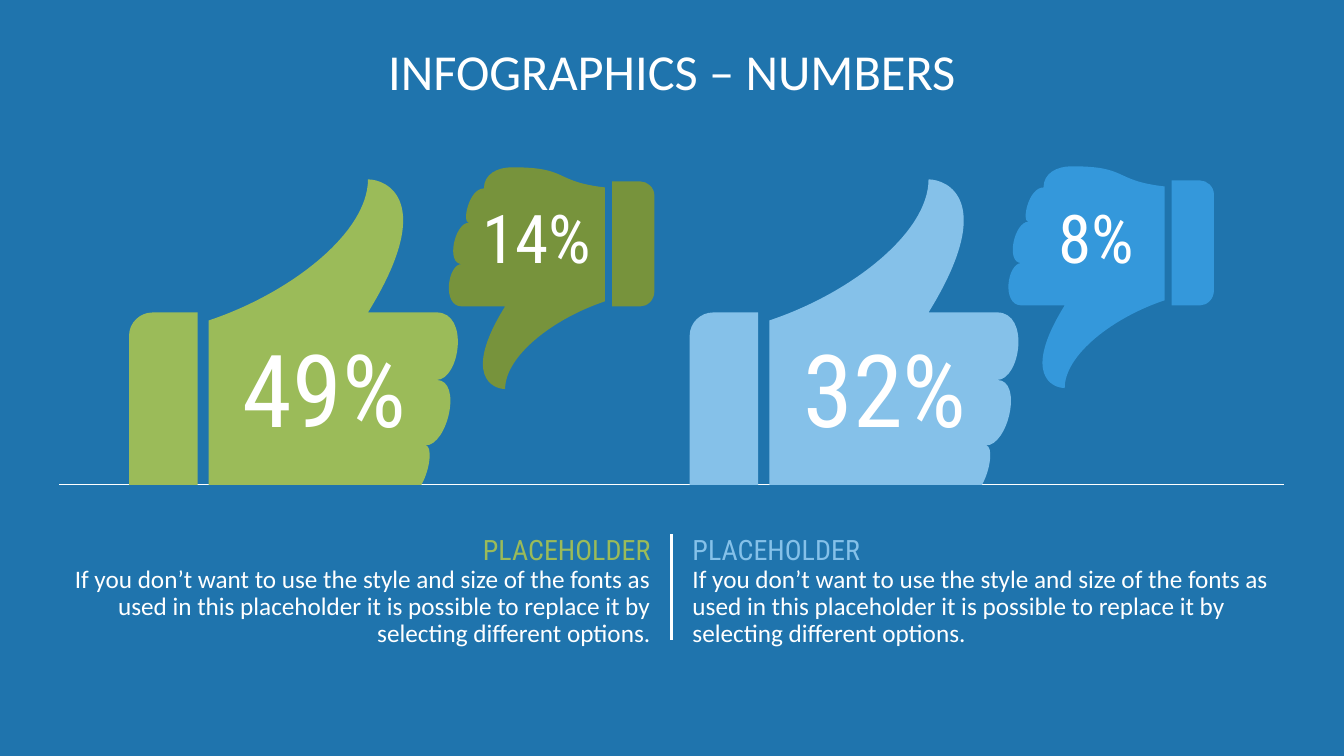
from lxml import etree
from pptx import Presentation
from pptx.dml.color import RGBColor
from pptx.enum.shapes import MSO_CONNECTOR as CONN
from pptx.enum.text import MSO_ANCHOR as ANCHOR, PP_ALIGN as ALIGN
from pptx.oxml.ns import qn
from pptx.util import Inches, Pt

COLORS = {
    "back": "1F74AD", "white": "FFFFFF",
    "green": "9BBB59", "olive": "77933C",
    "sky": "85C1E9", "blue": "3498DB",
}
CAPTION = ("If you don’t want to use the style and size of the fonts as used in this "
           "placeholder it is possible to replace it by selecting different options.")

# Each outline: its box, then start point, lines (2 numbers) and Bézier curves (6 numbers)
HAND_UP = (2.07, 1.78, 2.47, 3.03), [
    (3.65, 1.78), (3.84, 1.78, 4.33, 2, 3.65, 3.1), (3.65, 3.1, 4.22, 3.1, 4.33, 3.1),
    (4.66, 3.1, 4.56, 3.77, 4.33, 3.77), (4.59, 3.77, 4.44, 4.42, 4.22, 4.42),
    (4.29, 4.42, 4.27, 4.65, 4.18, 4.81), (2.07, 4.81),
    (2.07, 4.61, 2.07, 4.16, 2.07, 3.18), (2.88, 2.91, 3.65, 2.31, 3.65, 1.78),
]
CUFF_UP = (1.28, 3.1, 0.68, 1.71), [
    (1.51, 3.1), (1.51, 3.1, 1.51, 3.1, 1.96, 3.1), (1.96, 4.81), (1.28, 4.81),
    (1.28, 4.71, 1.28, 4.39, 1.28, 3.33), (1.28, 3.2, 1.39, 3.1, 1.51, 3.1),
]
HAND_DOWN = (4.38, 1.66, 1.62, 2.2), [
    (4.58, 2.62), (4.44, 2.62, 4.38, 3.04, 4.58, 3.04), (4.65, 3.04, 5.01, 3.04, 5.01, 3.04),
    (4.58, 3.73, 4.89, 3.86, 5.01, 3.86), (5.01, 3.53, 5.49, 3.16, 6, 2.99),
    (6, 1.86, 6, 1.86, 6, 1.86), (5.48, 1.8, 5.65, 1.66, 5.08, 1.66),
    (4.93, 1.66, 4.8, 1.73, 4.8, 1.87), (4.65, 1.87, 4.58, 2.21, 4.65, 2.21),
    (4.51, 2.21, 4.42, 2.62, 4.58, 2.62),
]
CUFF_DOWN = (6.07, 1.8, 0.42, 1.24), [
    (6.07, 3.04), (6.35, 3.04, 6.35, 3.04, 6.35, 3.04), (6.42, 3.04, 6.49, 2.98, 6.49, 2.89),
    (6.49, 1.94, 6.49, 1.94, 6.49, 1.94), (6.49, 1.86, 6.42, 1.8, 6.35, 1.8),
    (6.07, 1.8, 6.07, 1.8, 6.07, 1.8), (6.07, 3.04),
]


def add_outline(shapes, outline, dx, dy, color):
    (x, y, w, h), segments = outline
    points = [(Inches(seg[i] + dx), Inches(seg[i + 1] + dy))
              for seg in segments for i in range(0, len(seg), 2)]
    builder = shapes.build_freeform(*points[0])
    builder.add_line_segments(points[1:], close=True)
    sp = builder.convert_to_shape()

    # Join three points into each curve
    geometry = next(sp._element.iter(qn("a:path")))
    lines = iter(geometry.findall(qn("a:lnTo")))
    for seg in segments[1:]:
        first = next(lines)
        if len(seg) == 6:
            first.tag = qn("a:cubicBezTo")
            for extra in (next(lines), next(lines)):
                first.append(extra[0])
                geometry.remove(extra)

    # Fit the box to the curves rather than to their control points
    left, top, width, height = map(Inches, (x + dx, y + dy, w, h))
    for pt in geometry.iter(qn("a:pt")):
        pt.set("x", str(int(pt.get("x")) + sp.left - left))
        pt.set("y", str(int(pt.get("y")) + sp.top - top))
    geometry.set("w", str(width))
    geometry.set("h", str(height))
    sp.left, sp.top, sp.width, sp.height = left, top, width, height

    sp.shadow.inherit = False
    sp.fill.solid()
    sp.fill.fore_color.rgb = RGBColor.from_string(COLORS[color])
    sp.line.fill.background()


def add_run(p, text, size, font, color):
    r = p.add_run()
    r.text = text
    for name, value in {"size": Pt(size), "name": font}.items():
        setattr(r.font, name, value)
    r.font.color.rgb = RGBColor.from_string(COLORS[color])


prs = Presentation()
prs.slide_width, prs.slide_height = Inches(13.33), Inches(7.5)
s = prs.slides.add_slide(prs.slide_layouts[5])
s.background.fill.solid()
s.background.fill.fore_color.rgb = RGBColor.from_string(COLORS["back"])

NO_INSETS = {"margin_left": 0, "margin_top": 0, "margin_right": 0, "margin_bottom": 0,
             "word_wrap": True}

# Title
title = s.shapes.title
title.left, title.top, title.width, title.height = map(Inches, (0.59, 0.47, 12.15, 1.18))
tf = title.text_frame
for name, value in {**NO_INSETS, "vertical_anchor": ANCHOR.TOP}.items():
    setattr(tf, name, value)
p = tf.paragraphs[0]
p.alignment, p.line_spacing = ALIGN.CENTER, 0.9
add_run(p, "INFOGRAPHICS – NUMBERS", 36, "Calibri", "white")

# Ground line and caption divider
for x1, y1, x2, y2, width in [(0.59, 4.81, 12.74, 4.81, 0.5), (6.66, 5.3, 6.66, 6.35, 1.5)]:
    line = s.shapes.add_connector(CONN.STRAIGHT, *map(Inches, (x1, y1, x2, y2)))
    line.line.color.rgb = RGBColor.from_string(COLORS["white"])
    line.line.width = Pt(width)
    etree.SubElement(line._element.spPr, qn("a:effectLst"))

# Thumbs with their percentages
UP = (HAND_UP, CUFF_UP, (2.07, 3.1, 2.3, 1.71), 72)
DOWN = (HAND_DOWN, CUFF_DOWN, (4.65, 1.8, 1.35, 1.24), 48)
thumbs = [
    (UP, 0, 0, "green", "49%"), (UP, 5.56, 0, "sky", "32%"),
    (DOWN, 0, 0, "olive", "14%"), (DOWN, 5.55, -0.01, "blue", "8%"),
]
for (hand, cuff, (x, y, w, h), size), dx, dy, color, percent in thumbs:
    group = s.shapes.add_group_shape()
    for outline in (hand, cuff):
        add_outline(group.shapes, outline, dx, dy, color)
    tf = group.shapes.add_textbox(*map(Inches, (x + dx, y, w, h))).text_frame
    for name, value in {**NO_INSETS, "vertical_anchor": ANCHOR.MIDDLE}.items():
        setattr(tf, name, value)
    p = tf.paragraphs[0]
    for name, value in {"alignment": ALIGN.CENTER, "line_spacing": 0.8,
                        "space_after": Pt(10)}.items():
        setattr(p, name, value)
    add_run(p, percent, size, "Roboto Condensed", "white")

# Captions
for x, align, color in [(0.59, ALIGN.RIGHT, "green"), (6.77, ALIGN.LEFT, "sky")]:
    tf = s.shapes.add_textbox(*map(Inches, (x, 5.27, 5.96, 1.22))).text_frame
    tf.word_wrap = True
    p = tf.paragraphs[0]
    for name, value in {"alignment": align, "line_spacing": 0.9,
                        "space_after": Pt(10)}.items():
        setattr(p, name, value)
    add_run(p, "PLACEHOLDER", 20, "Roboto Condensed", color)
    p.add_line_break()
    add_run(p, CAPTION, 18, "Calibri", "white")

prs.save("out.pptx")
